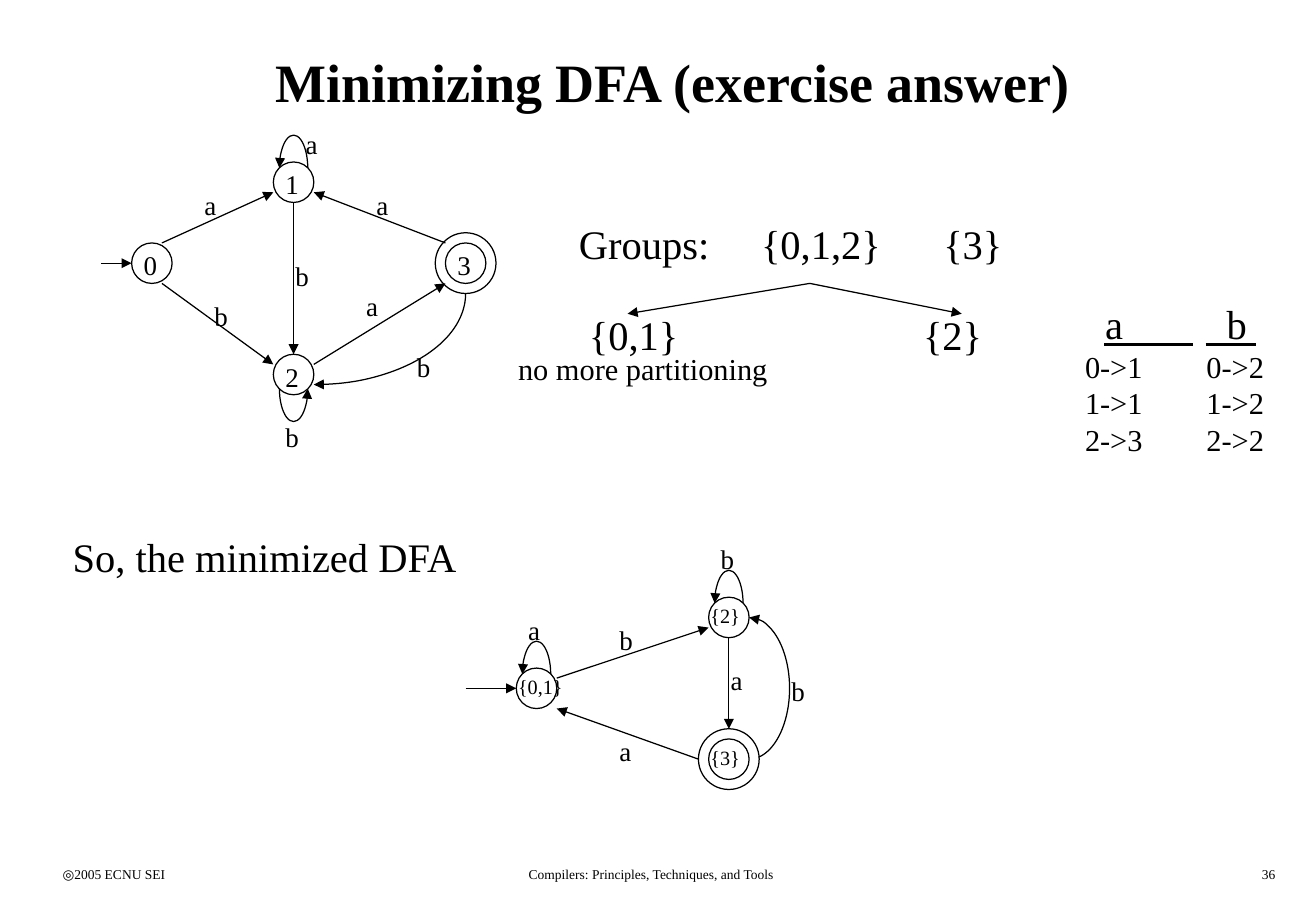
from pptx import Presentation
from pptx.dml.color import RGBColor
from pptx.enum.shapes import MSO_CONNECTOR as Link, MSO_SHAPE as Kind
from pptx.enum.text import MSO_ANCHOR as Anchor, PP_ALIGN as Align
from pptx.oxml.ns import qn
from pptx.util import Cm, Pt
from lxml.etree import SubElement

INK = "000000"
FACE = "Times New Roman"
STEP = 2.54 / 12  # grid step in cm


def grid(*steps):
    return [Cm(n * STEP) for n in steps]


def color(code):
    return RGBColor.from_string(code)


def style(font, size, bold=False):
    font.name = FACE
    font.size = Pt(size)
    font.bold = bold
    font.color.rgb = color(INK)


def stroke(item, width=0.75, tip=None):
    item.line.color.rgb = color(INK)
    item.line.width = Pt(width)
    if tip:
        SubElement(item.line._get_or_add_ln(), qn("a:" + tip), type="triangle")


def ring(slide, x, y, radius=2):
    """Circle around a centre."""
    box = grid(x - radius, y - radius, 2 * radius, 2 * radius)
    oval = slide.shapes.add_shape(Kind.OVAL, *box)
    oval.shadow.inherit = False
    oval.fill.background()
    stroke(oval)


def line(slide, x1, y1, x2, y2, width=0.75, tip="tailEnd"):
    link = slide.shapes.add_connector(Link.STRAIGHT, *grid(x1, y1, x2, y2))
    stroke(link, width, tip)
    SubElement(link._element.spPr, qn("a:effectLst"))


def arc(slide, x, y, rx, ry, start, end, tip="headEnd"):
    """Clockwise arc around a centre, angles in degrees."""
    box = grid(x - rx, y - ry, 2 * rx, 2 * ry)
    bow = slide.shapes.add_shape(Kind.ARC, *box)
    bow.adjustments[0] = start * 0.6
    bow.adjustments[1] = end * 0.6
    bow.shadow.inherit = False
    bow.fill.background()
    stroke(bow, tip=tip)


def loop(slide, x, y, below=False):
    """Self loop on the state with this centre."""
    if below:
        arc(slide, x, y + 1.4, 1.4, 3.25, 0, 180)
    else:
        arc(slide, x, y - 1.4, 1.4, 3.25, 180, 360)


def label(slide, x, y, text, size=16, width=4, height=4.5, align=Align.LEFT, tabs=()):
    """Text box; size may be a list with one value per line."""
    box = slide.shapes.add_textbox(*grid(x, y, width, height))
    frame = box.text_frame
    frame.word_wrap = True
    frame.margin_right = 0
    frame.text = text
    for i, para in enumerate(frame.paragraphs):
        para.alignment = align
        stops = tabs[i] if tabs else ()
        if stops:
            row = SubElement(para._p.get_or_add_pPr(), qn("a:tabLst"))
            for stop in grid(*stops):
                SubElement(row, qn("a:tab"), pos=str(int(stop)), algn="l")
        style(para.font, size[i] if isinstance(size, list) else size)


def head(slide):
    title = slide.shapes.title
    title.left, title.top, title.width, title.height = grid(5, 2, 123, 12)
    frame = title.text_frame
    frame.text = "Minimizing DFA (exercise answer)"
    frame.vertical_anchor = Anchor.MIDDLE
    para = frame.paragraphs[0]
    para.alignment = Align.CENTER
    style(para.font, 32, True)


def first(slide):
    """Given automaton with states 0 to 3."""
    for x, y in [(15, 26), (29, 18), (29, 37), (46, 26)]:
        ring(slide, x, y)
    ring(slide, 46, 26, 3)
    for ends in [(10, 26, 13, 26), (16, 24, 27, 19), (16, 28, 27, 36),
                 (29, 20, 29, 35), (31, 36, 44, 28), (44, 24, 31, 19)]:
        line(slide, *ends)
    loop(slide, 29, 18)
    loop(slide, 29, 37, below=True)
    arc(slide, 31, 29, 15, 9, 0, 90, "tailEnd")
    for x, y, text in [(27, 41, "b"), (20, 29, "b"), (40, 34, "b"), (28, 25, "b"),
                       (35, 28, "a"), (36, 18, "a"), (29, 12, "a"), (19, 18, "a"),
                       (13, 24, "0"), (27, 16, "1"), (27, 35, "2"), (44, 24, "3")]:
        label(slide, x, y, text)


def groups(slide):
    """Partition tree and its table of moves."""
    label(slide, 56, 21, "Groups:\t{0,1,2}\t{3}", 24, 44, 6, tabs=[(18, 36)])
    for x in (62, 95):
        line(slide, 80, 28, x, 31)
    label(slide, 57, 30, "{0,1}", 24, 12, 6)
    label(slide, 90, 30, "{2}", 24, 9, 6)
    label(slide, 50, 34, "no more partitioning", 18, 28, 5)
    moves = ["\ta\tb", "0->1\t0->2", "1->1\t1->2", "2->3\t2->2"]
    label(slide, 106, 29, "\n".join(moves), [24, 18, 18, 18], 20, 17,
          tabs=[(2, 14)] + [(12,)] * 3)
    for x1, x2 in [(109.1, 117.9), (119.1, 124.1)]:
        line(slide, x1, 34, x2, 34, 1.8, None)


def small(slide):
    """Minimized automaton."""
    label(slide, 6, 52, "So, the minimized DFA", 24, 42, 6)
    for x, y in [(53, 68), (72, 61), (72, 75)]:
        ring(slide, x, y)
    ring(slide, 72, 75, 3)
    for ends in [(46, 68, 51, 68), (55, 67, 70, 62),
                 (69, 75, 55, 70), (72, 63, 72, 72)]:
        line(slide, *ends)
    loop(slide, 53, 68)
    loop(slide, 72, 61)
    arc(slide, 74, 68, 4, 7, 270, 82)
    for x, y, text in [(50, 66, "{0,1}"), (69, 59, "{2}"), (69, 73, "{3}")]:
        label(slide, x, y, text, 12, 7, 3.5)
    for x, y, text in [(60, 61, "b"), (71, 65, "a"), (60, 72, "a"),
                       (51, 60, "a"), (77, 66, "b"), (70, 53, "b")]:
        label(slide, x, y, text)


def foot(slide):
    for x, width, text, align in [
            (5, 27, "◎2005 ECNU SEI", Align.LEFT),
            (40, 47.5, "Compilers: Principles, Techniques, and Tools", Align.CENTER),
            (100, 26, "36", Align.RIGHT)]:
        label(slide, x, 85, text, 8, width, 3, align)


def main():
    deck = Presentation()
    deck.slide_width, deck.slide_height = grid(130, 90)
    slide = deck.slides.add_slide(deck.slide_layouts[5])
    head(slide)
    first(slide)
    groups(slide)
    small(slide)
    foot(slide)
    deck.save("out.pptx")


if __name__ == "__main__":
    main()
